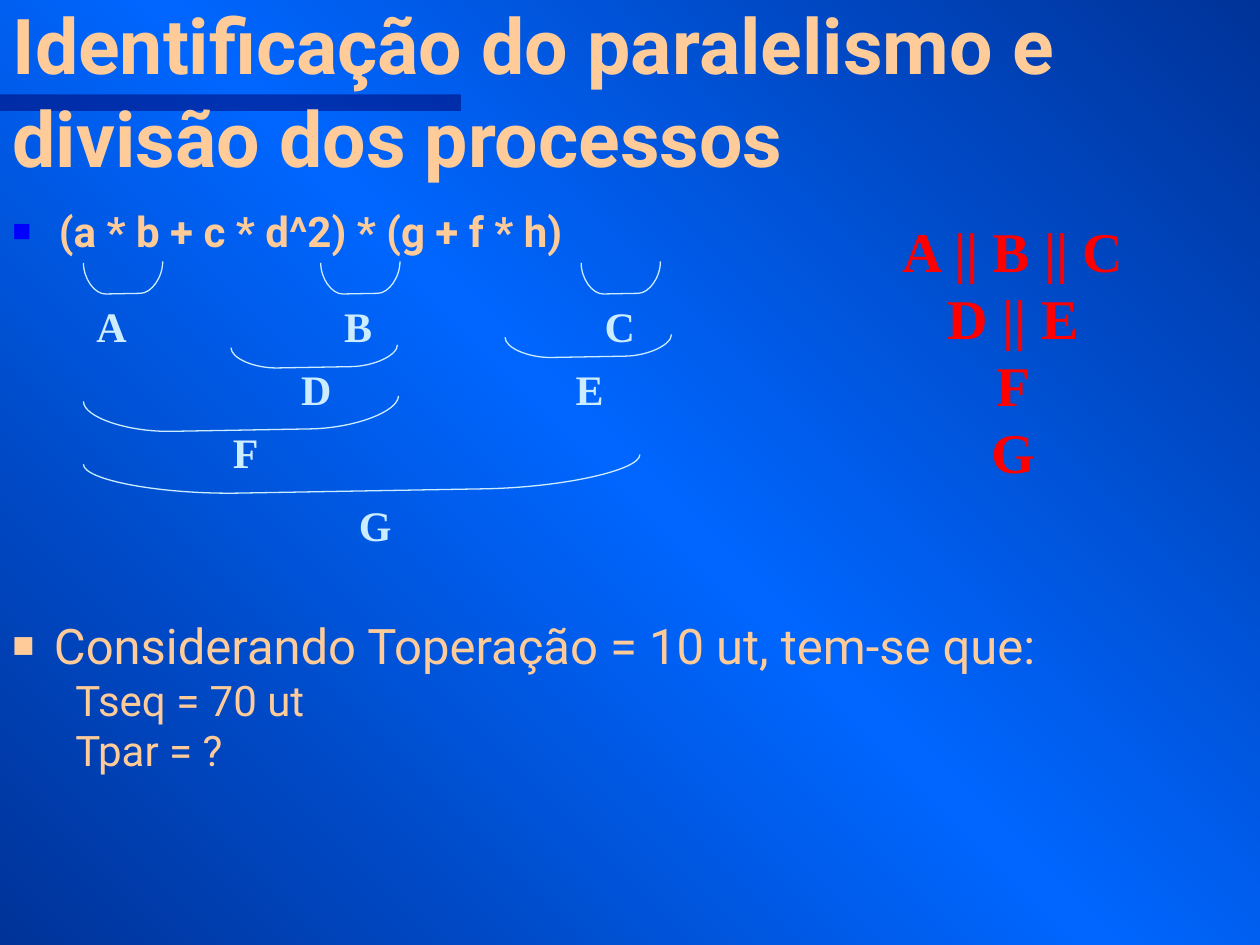
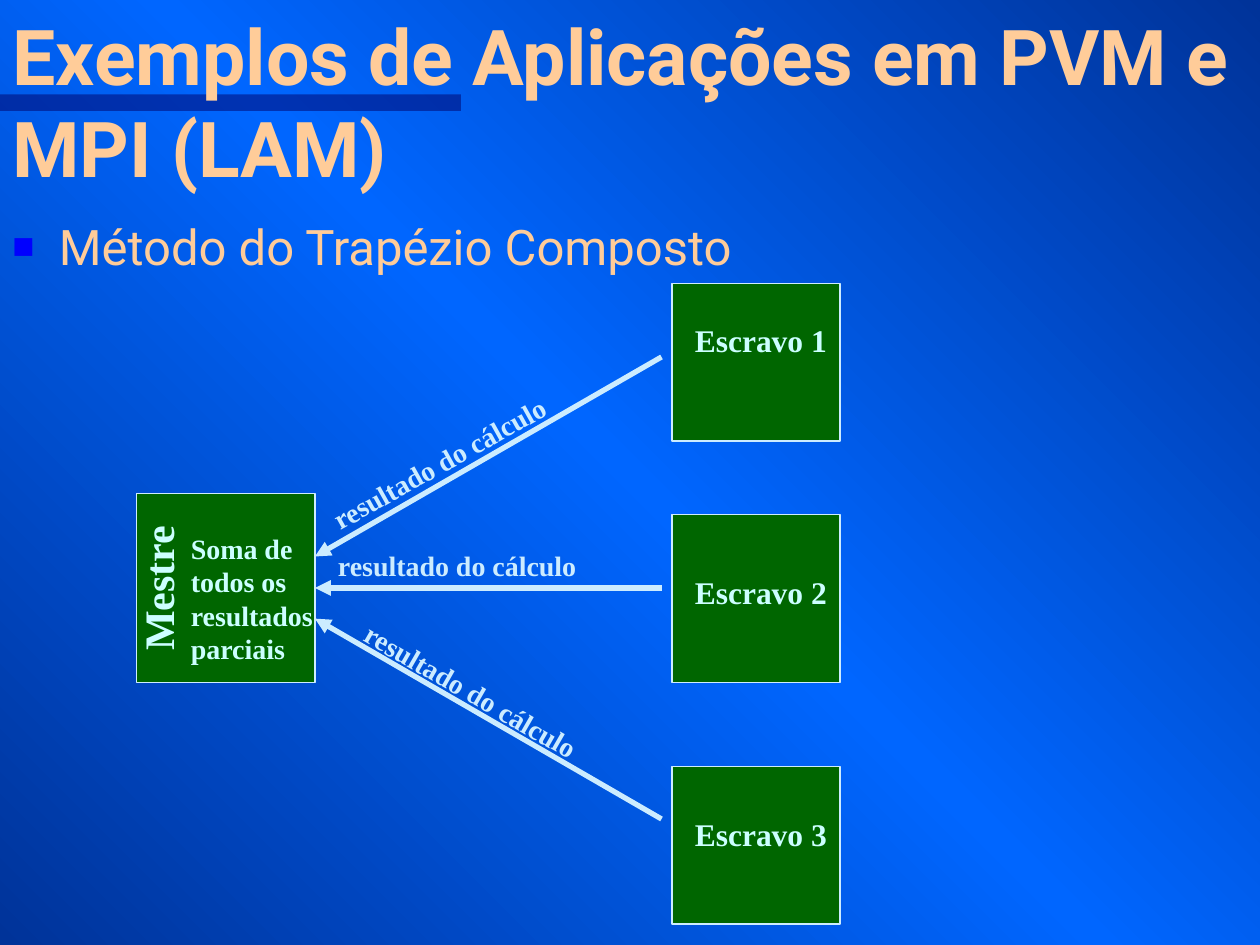
"""Build two slides on parallel processes: an expression split and a master-slave scheme."""
import dataclasses
import typing

import lxml.etree
import pptx
import pptx.dml.color
import pptx.enum.shapes
import pptx.enum.text
import pptx.oxml
import pptx.oxml.ns
import pptx.util

COLS, ROWS = 120, 90
CELL = pptx.util.Inches(10) / COLS
HUES = {"deep": "003399", "glow": "0066FF", "band": "000066", "peach": "FFCC99",
        "blue": "0000FF", "ice": "CCECFF", "mint": "CCFFFF", "red": "FF0000",
        "green": "006600"}
SANS, SERIF = "Roboto", "Times New Roman"
LEFT, MID = pptx.enum.text.PP_ALIGN.LEFT, pptx.enum.text.PP_ALIGN.CENTER
FIT = pptx.enum.text.MSO_AUTO_SIZE
RECT = pptx.enum.shapes.MSO_SHAPE.RECTANGLE
TILT = 0.0175
HALF = [(1, 0), (1, 0.5), (0.86, 1), (0.72, 1)]
SPACE = pptx.oxml.ns.nsdecls("a")


@dataclasses.dataclass(frozen=True)
class Box:
    """Hold a place in grid columns and rows."""
    col: float
    row: float
    wide: float
    high: float


@dataclasses.dataclass(frozen=True)
class Look:
    """Hold the format of a line of text."""
    size: float
    hue: str
    face: str = SERIF
    bold: bool = True
    side: int = LEFT


@dataclasses.dataclass(frozen=True)
class Line:
    """Hold one paragraph with its indent in inches and bullet hue."""
    text: str
    look: Look
    inset: float = 0
    dot: str = ""


@dataclasses.dataclass(frozen=True)
class Cup:
    """Hold a bracket, its label and where the label starts."""
    name: str
    box: Box
    col: float
    row: float


@dataclasses.dataclass(frozen=True)
class Slave:
    """Hold a slave box, its label row and its arrow with a turned label."""
    box: Box
    row: float
    tip: float
    tail: float
    note: Box
    turn: float


HEAD = Look(44, "peach", SANS)
BODY = Look(28, "peach", SANS, False)
SMALL = Look(24, "peach", SANS, False)
MARK = Look(24, "ice")
STEP = Look(32, "red", side=MID)
NOTE = Look(16, "ice")
ROLE = Look(18, "mint")

CUPS = [
    Cup("A", Box(7.95, 24.9, 7.55, 3), 8, 28),
    Cup("B", Box(30.55, 24.9, 7.55, 3), 31.6, 28),
    Cup("C", Box(55.35, 24.9, 7.55, 3), 56.4, 28),
    Cup("D", Box(22, 32.85, 15.85, 2), 27.5, 34),
    Cup("E", Box(48.1, 31.85, 15.85, 2), 53.65, 34),
    Cup("F", Box(7.95, 37.7, 30, 3), 21, 40),
    Cup("G", Box(7.95, 43.3, 53, 3), 33, 47),
]
SLAVES = [
    Slave(Box(64, 27, 16, 15), 30, 53, 34, Box(28, 37, 45, 4.4), 330.7),
    Slave(Box(64, 49, 16, 16), 54, 56, 56, Box(31, 51.65, 45, 4.4), 0),
    Slave(Box(64, 73, 16, 15), 77, 58.92, 78, Box(31, 68.55, 45, 4.4), 29.9),
]


def span(cells: float) -> int:
    """Turn grid cells into a length."""
    return round(cells * CELL)


def frame(box: Box) -> list[int]:
    """Turn a box into left, top, width and height."""
    return [span(part) for part in dataclasses.astuple(box)]


def tint(hue: str) -> pptx.dml.color.RGBColor:
    """Look up a colour."""
    return pptx.dml.color.RGBColor.from_string(HUES[hue])


def apply(thing: typing.Any, form: dict) -> None:
    """Set each format value on an object."""
    for name, value in form.items():
        setattr(thing, name, value)


def stroke(shape: typing.Any, points: float) -> None:
    """Give a shape an ice line."""
    shape.line.color.rgb = tint("ice")
    shape.line.width = pptx.util.Pt(points)


def bullet(para: typing.Any, hue: str) -> None:
    """Give a paragraph a square bullet."""
    props = para._p.get_or_add_pPr()
    for part in (f'<a:buClr {SPACE}><a:srgbClr val="{HUES[hue]}"/></a:buClr>',
                 f'<a:buSzPct {SPACE} val="75000"/>',
                 f'<a:buFont {SPACE} typeface="Arial"/>',
                 f'<a:buChar {SPACE} char="■"/>'):
        props.append(pptx.oxml.parse_xml(part))


def write(shape: typing.Any, lines: list[Line], fit: typing.Any) -> None:
    """Fill a shape with formatted lines."""
    text = shape.text_frame
    apply(text, {"word_wrap": True, "auto_size": fit})
    for spot, line in enumerate(lines):
        para = text.add_paragraph() if spot else text.paragraphs[0]
        para.alignment = line.look.side
        if line.inset:
            inset = pptx.util.Inches(line.inset)
            props = para._p.get_or_add_pPr()
            props.set("marL", str(inset))
            props.set("indent", str(-inset if line.dot else 0))
        if line.dot:
            bullet(para, line.dot)
        run = para.add_run()
        run.text = line.text
        apply(run.font, {"name": line.look.face, "bold": line.look.bold,
                         "size": pptx.util.Pt(line.look.size)})
        run.font.color.rgb = tint(line.look.hue)


def label(slide: typing.Any, box: Box, lines: list[Line], turn: float = 0) -> None:
    """Add a text box."""
    shape = slide.shapes.add_textbox(*frame(box))
    shape.rotation = turn
    write(shape, lines, FIT.SHAPE_TO_FIT_TEXT)


def block(slide: typing.Any, box: Box, hue: str) -> typing.Any:
    """Add a plain filled box."""
    shape = slide.shapes.add_shape(RECT, *frame(box))
    shape.shadow.inherit = False
    shape.fill.solid()
    shape.fill.fore_color.rgb = tint(hue)
    return shape


def bend(lines: list) -> None:
    """Join three straight segments into one cubic curve."""
    arc = lxml.etree.Element(pptx.oxml.ns.qn("a:cubicBezTo"))
    lines[0].addprevious(arc)
    for line in lines:
        arc.append(line[0])
        line.getparent().remove(line)


def bracket(slide: typing.Any, cup: Cup) -> None:
    """Draw a slightly tilted cup and its label."""
    whole = HALF + [(1 - x, y) for x, y in reversed(HALF)]
    box = cup.box
    dots = [(span(box.col + x * box.wide),
             span(box.row + y * box.high + TILT * (1 - x) * box.wide))
            for x, y in whole]
    pen = slide.shapes.build_freeform(*dots[0])
    pen.add_line_segments(dots[1:], close=False)
    shape = pen.convert_to_shape()
    lines = shape.element.findall(".//" + pptx.oxml.ns.qn("a:lnTo"))
    bend(lines[:3])
    bend(lines[4:])
    shape.shadow.inherit = False
    shape.fill.background()
    stroke(shape, 0.75)
    label(slide, Box(cup.col, cup.row, 8, 6), [Line(cup.name, MARK)])


def arrow(slide: typing.Any, tip: tuple[float, float], tail: tuple[float, float]) -> None:
    """Draw an arrow with its head at the tip."""
    link = slide.shapes.add_connector(pptx.enum.shapes.MSO_CONNECTOR.STRAIGHT,
                                      *(span(part) for part in tip + tail))
    stroke(link, 3)
    edge = link.line._get_or_add_ln()
    lxml.etree.SubElement(edge, pptx.oxml.ns.qn("a:headEnd"), type="triangle")
    props = link._element.spPr
    lxml.etree.SubElement(props, pptx.oxml.ns.qn("a:effectLst"))


def backdrop(deck: typing.Any) -> None:
    """Give the master its diagonal gradient."""
    stops = "".join(f'<a:gs pos="{place}"><a:srgbClr val="{HUES[hue]}"/></a:gs>'
                    for place, hue in ((0, "deep"), (50000, "glow"), (100000, "deep")))
    fill = pptx.oxml.parse_xml(f'<a:gradFill {SPACE} rotWithShape="1"><a:gsLst>{stops}'
                               '</a:gsLst><a:lin ang="8100000" scaled="0"/></a:gradFill>')
    ground = deck.slide_master.background.fill
    ground.solid()
    old = deck.slide_master.element.find(".//" + pptx.oxml.ns.qn("a:solidFill"))
    old.getparent().replace(old, fill)


def start(deck: typing.Any, title: str, box: Box) -> typing.Any:
    """Add a slide with its band and title."""
    slide = deck.slides.add_slide(deck.slide_layouts[5])
    band = block(slide, Box(0, 9, 43.9, 1.56), "band")
    band.line.fill.background()
    shade = band.element.find(".//" + pptx.oxml.ns.qn("a:srgbClr"))
    lxml.etree.SubElement(shade, pptx.oxml.ns.qn("a:alpha"), val="50000")
    band.element.getparent().insert(2, band.element)
    head = slide.shapes.title
    apply(head, dict(zip(("left", "top", "width", "height"), frame(box))))
    head.text_frame.vertical_anchor = pptx.enum.text.MSO_ANCHOR.BOTTOM
    write(head, [Line(title, HEAD)], FIT.NONE)
    return slide


def split(deck: typing.Any) -> None:
    """Build the slide on splitting an expression."""
    slide = start(deck, "Identificação do paralelismo e divisão dos processos",
                  Box(0, 7, COLS, 11))
    label(slide, Box(0, 19, COLS, 6),
          [Line("(a * b + c * d^2) * (g + f * h)", Look(24, "peach", SANS), 0.37, "blue")])
    for cup in CUPS:
        bracket(slide, cup)
    label(slide, Box(80, 20, 33, 27),
          [Line(text, STEP) for text in ("A || B || C", "D || E", "F", "G")])
    label(slide, Box(0, 58, 115, 28.5), [
        Line("Considerando Toperação = 10 ut, tem-se que:", BODY, 0.33, "peach"),
        Line("Tseq = 70 ut", SMALL, 0.5),
        Line("Tpar = ?", SMALL, 0.5)])


def scheme(deck: typing.Any) -> None:
    """Build the slide on the master and its slaves."""
    slide = start(deck, "Exemplos de Aplicações em PVM e MPI (LAM)", Box(0, 4, 123, 15))
    label(slide, Box(0, 20, COLS, 7),
          [Line("Método do Trapézio Composto", BODY, 0.37, "blue")])
    for count, slave in enumerate(SLAVES, 1):
        stroke(block(slide, slave.box, "green"), 0.75)
        label(slide, Box(65, slave.row, 26, 4.8), [Line(f"Escravo {count}", ROLE)])
        arrow(slide, (30, slave.tip), (63, slave.tail))
        label(slide, slave.note, [Line("resultado do cálculo", NOTE)], slave.turn)
    stroke(block(slide, Box(13, 47, 17, 18), "green"), 0.75)
    label(slide, Box(5, 53, 20, 6), [Line("Mestre", Look(24, "mint", side=MID))], 270)
    label(slide, Box(17, 50, 17, 14),
          [Line("Soma de todos os resultados parciais", Look(16, "mint"))])


def main() -> None:
    """Build and save the deck."""
    deck = pptx.Presentation()
    apply(deck, {"slide_width": span(COLS), "slide_height": span(ROWS)})
    backdrop(deck)
    split(deck)
    scheme(deck)
    deck.save("out.pptx")


if __name__ == "__main__":
    main()
